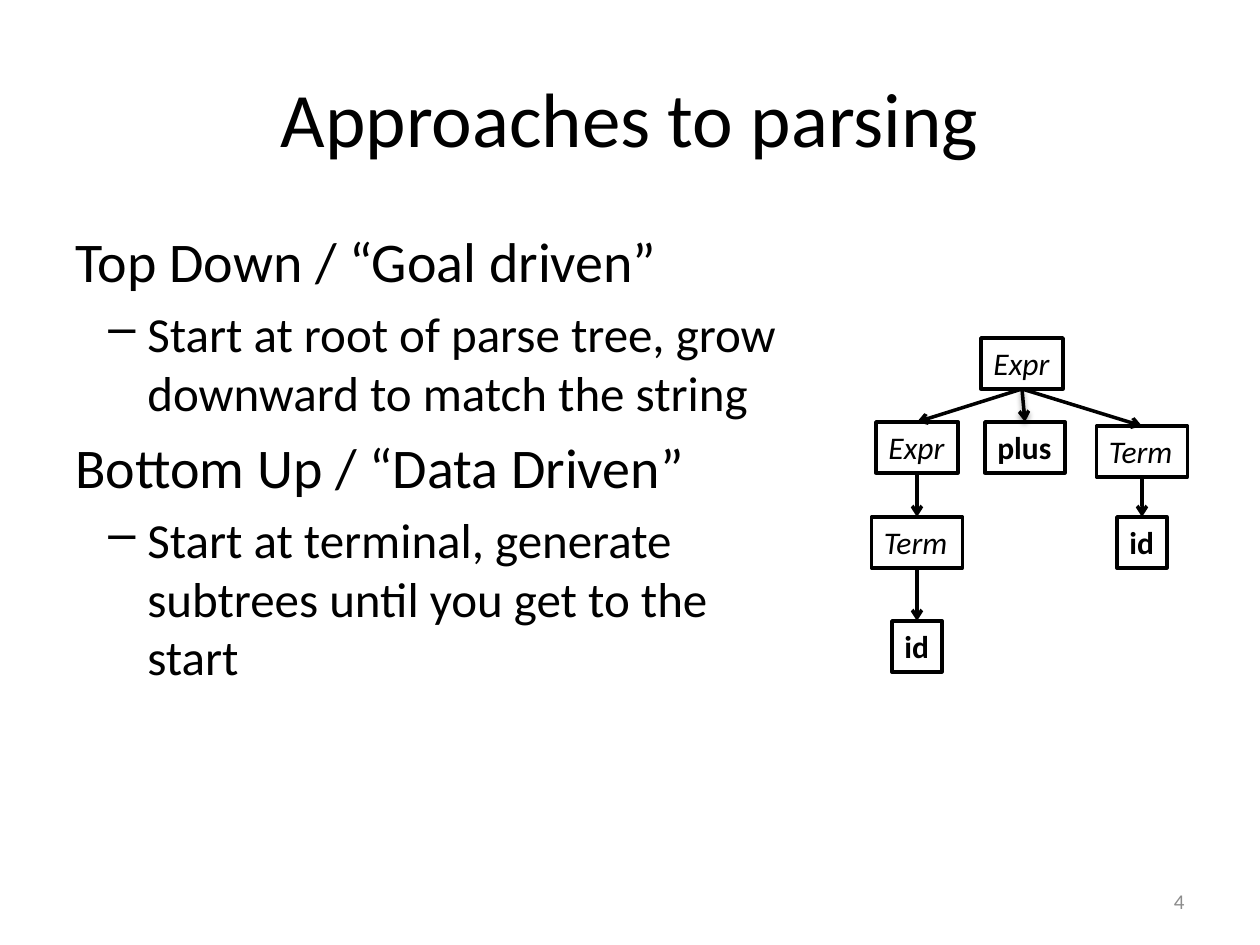
from dataclasses import dataclass

import pptx
import pptx.dml.color
import pptx.enum.shapes
import pptx.enum.text
import pptx.oxml
import pptx.oxml.ns
import pptx.util
from lxml import etree

SCALE = 914400 / 126  # EMU in one px
ALIGN = pptx.enum.text.PP_ALIGN
ANCHOR = pptx.enum.text.MSO_ANCHOR


@dataclass(frozen=True)
class Theme:
    font: str = "Calibri"
    ink: str = "000000"
    paper: str = "FFFFFF"
    muted: str = "8C8C8C"
    title: int = 44
    heading: int = 32
    detail: int = 28
    node: int = 18
    number: int = 12
    line: int = 2


THEME = Theme()
NODE_HEIGHT = 51

# Points of the outline: heading, detail
POINTS = [
    ("Top Down / “Goal driven”",
     "Start at root of parse tree, grow downward to match the string"),
    ("Bottom Up / “Data Driven”",
     "Start at terminal, generate subtrees until you get to the start"),
]

# Parse tree: key -> (label, centre x, top, width, is terminal)
NODES = {
    "root": ("Expr", 1022, 338, 82, False),
    "left": ("Expr", 917, 422, 82, False),
    "plus": ("plus", 1025, 422, 80, True),
    "right": ("Term", 1142, 426, 91, False),
    "left term": ("Term", 917, 517, 91, False),
    "right id": ("id", 1142, 517, 50, True),
    "left id": ("id", 917, 621, 50, True),
}
EDGES = [
    ("root", "left"), ("root", "right"), ("left", "left term"),
    ("left term", "left id"), ("right", "right id"), ("root", "plus"),
]


def px(length):
    return pptx.util.Emu(round(length * SCALE))


def rgb(value):
    return pptx.dml.color.RGBColor.from_string(value)


def style(paragraph, size, color=THEME.ink, bold=False, italic=False):
    font = paragraph.font
    font.name, font.size = THEME.font, pptx.util.Pt(size)
    font.bold, font.italic = bold, italic
    font.color.rgb = rgb(color)


def add_title(slide, text):
    title = slide.shapes.title
    title.left, title.top, title.width, title.height = map(px, (63, 38, 1134, 157))
    title.text_frame.text = text
    title.text_frame.vertical_anchor = ANCHOR.MIDDLE
    paragraph = title.text_frame.paragraphs[0]
    paragraph.alignment = ALIGN.CENTER
    style(paragraph, THEME.title)


def add_text_box(slide, left, top, width, height):
    frame = slide.shapes.add_textbox(*map(px, (left, top, width, height))).text_frame
    frame.word_wrap = True
    return frame


def add_dash(paragraph):
    properties = paragraph._p.get_or_add_pPr()
    properties.set("marL", str(px(72)))
    properties.set("indent", str(px(-39)))
    bullet = etree.SubElement(properties, pptx.oxml.ns.qn("a:buChar"))
    bullet.set("char", "–")


def add_outline(slide, points):
    frame = add_text_box(slide, 63, 220, 756, 624)
    frame.text = "\n".join(line for point in points for line in point)
    for index, paragraph in enumerate(frame.paragraphs):
        is_detail = index % 2 == 1
        size = THEME.detail if is_detail else THEME.heading
        if is_detail:
            paragraph.level = 1
            add_dash(paragraph)
        if index:
            paragraph.space_before = pptx.util.Pt(size * 0.2)
        style(paragraph, size)


def add_node(slide, label, center, top, width, is_terminal):
    node = slide.shapes.add_shape(
        pptx.enum.shapes.MSO_SHAPE.RECTANGLE,
        *map(px, (center - width / 2, top, width, NODE_HEIGHT)))
    node.shadow.inherit = False
    node.fill.solid()
    node.fill.fore_color.rgb = rgb(THEME.paper)
    node.line.color.rgb = rgb(THEME.ink)
    node.line.width = pptx.util.Pt(THEME.line)
    frame = node.text_frame
    frame.text = label
    frame.word_wrap = False
    frame.auto_size = pptx.enum.text.MSO_AUTO_SIZE.SHAPE_TO_FIT_TEXT
    frame.vertical_anchor = ANCHOR.TOP
    paragraph = frame.paragraphs[0]
    paragraph.alignment = ALIGN.LEFT
    style(paragraph, THEME.node, bold=is_terminal, italic=not is_terminal)
    return node


def add_edge(slide, parent, child):
    edge = slide.shapes.add_connector(
        pptx.enum.shapes.MSO_CONNECTOR.STRAIGHT, 0, 0, 0, 0)
    edge.begin_connect(parent, 2)  # bottom middle
    edge.end_connect(child, 0)  # top middle
    edge.line.color.rgb = rgb(THEME.ink)
    edge.line.width = pptx.util.Pt(THEME.line)
    arrow = etree.SubElement(edge.line._get_or_add_ln(), pptx.oxml.ns.qn("a:tailEnd"))
    arrow.set("type", "arrow")
    etree.SubElement(edge._element.spPr, pptx.oxml.ns.qn("a:effectLst"))
    return edge


def add_soft_shadow(edge):
    effects = edge._element.spPr.find(pptx.oxml.ns.qn("a:effectLst"))
    effects.append(pptx.oxml.parse_xml(
        f'<a:outerShdw {pptx.oxml.ns.nsdecls("a")} blurRad="{pptx.util.Pt(3.1)}" '
        f'dist="{pptx.util.Pt(1.6)}" dir="5400000" rotWithShape="0">'
        f'<a:srgbClr val="{THEME.ink}"><a:alpha val="38000"/></a:srgbClr>'
        '</a:outerShdw>'))


def add_slide_number(slide, number):
    frame = add_text_box(slide, 903, 876, 294, 50)
    frame.text = number
    frame.vertical_anchor = ANCHOR.MIDDLE
    paragraph = frame.paragraphs[0]
    paragraph.alignment = ALIGN.RIGHT
    style(paragraph, THEME.number, THEME.muted)


def main():
    deck = pptx.Presentation()
    deck.slide_width, deck.slide_height = px(1260), px(945)
    slide = deck.slides.add_slide(deck.slide_layouts[5])  # title only

    # Text
    add_title(slide, "Approaches to parsing")
    add_outline(slide, POINTS)
    add_slide_number(slide, "4")

    # Parse tree
    nodes = {key: add_node(slide, *node) for key, node in NODES.items()}
    for parent, child in EDGES:
        edge = add_edge(slide, nodes[parent], nodes[child])
        if child == "plus":
            add_soft_shadow(edge)

    deck.save("out.pptx")


if __name__ == "__main__":
    main()
